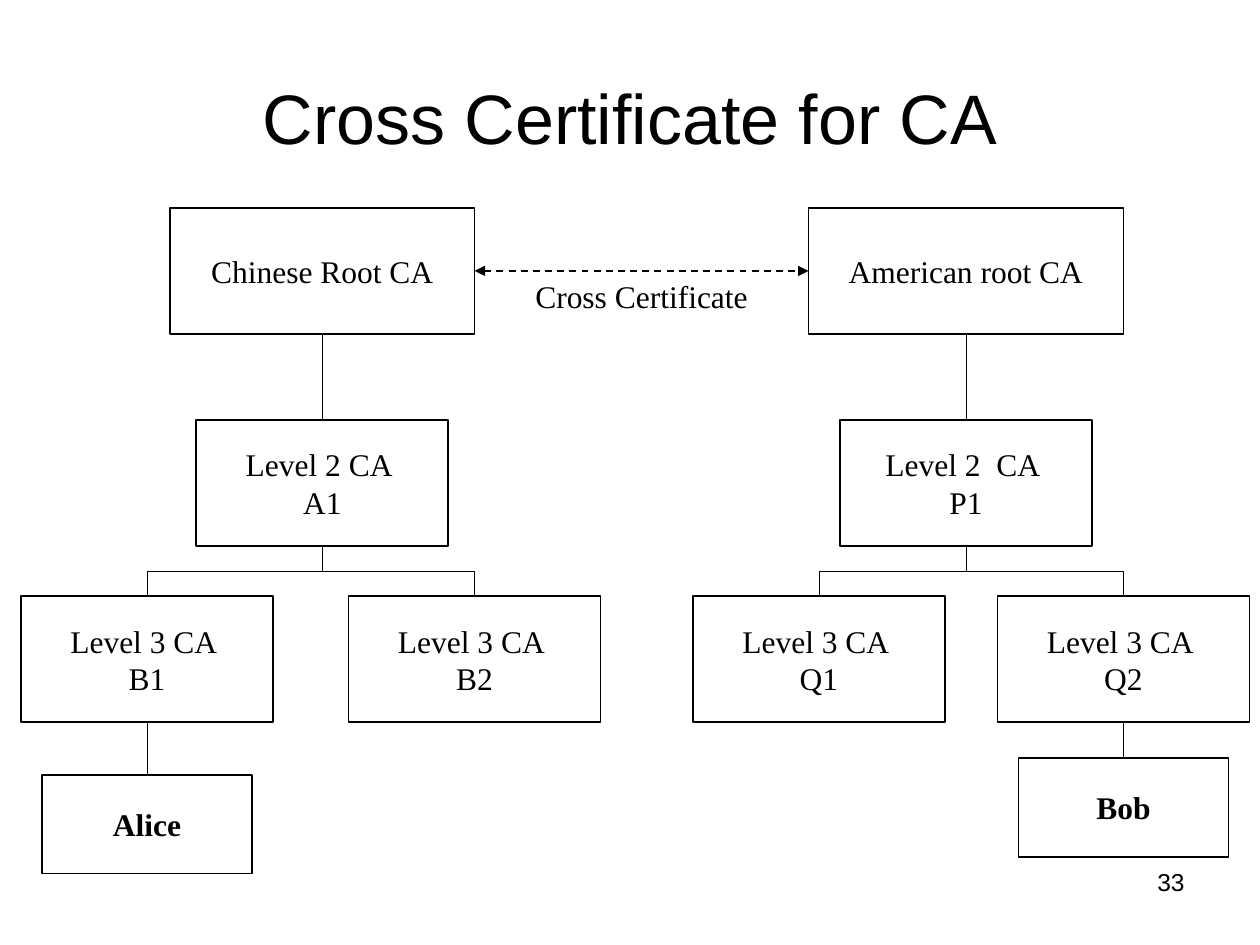
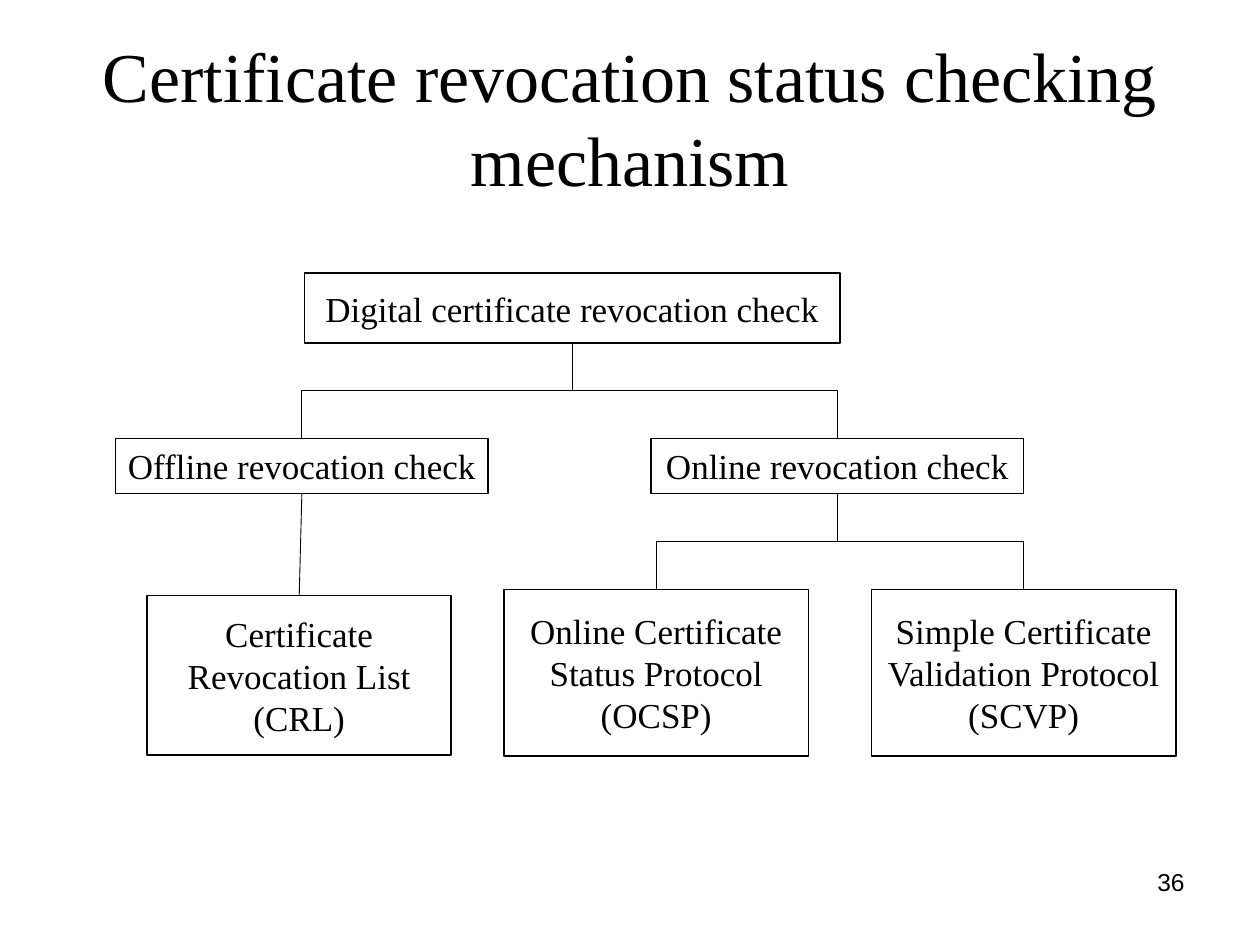
from dataclasses import dataclass
from typing import NamedTuple

from pptx import Presentation
from pptx.dml.color import RGBColor
from pptx.enum.dml import MSO_LINE
from pptx.enum.shapes import MSO_CONNECTOR, MSO_SHAPE
from pptx.enum.text import MSO_ANCHOR, MSO_AUTO_SIZE, PP_ALIGN
from pptx.oxml.ns import qn
from pptx.oxml.xmlchemy import OxmlElement
from pptx.presentation import Presentation as Deck
from pptx.shapes.autoshape import Shape
from pptx.shapes.connector import Connector
from pptx.slide import Slide
from pptx.text.text import TextFrame
from pptx.util import Inches, Pt

WIDTH, HEIGHT = Inches(10), Inches(7.5)
COLS, ROWS = 120, 90
BOTTOM, RIGHT, TOP, LEFT = 2, 3, 0, 1


@dataclass(frozen=True)
class Theme:
    ink: RGBColor = RGBColor(0, 0, 0)
    paper: RGBColor = RGBColor(255, 255, 255)
    sans: str = "Arial"
    serif: str = "Times New Roman"
    title: int = 40
    page: int = 14
    edge: float = 1
    link: float = 0.5


class Area(NamedTuple):
    col: float
    row: float
    wide: float
    high: float


class Node(NamedTuple):
    name: str
    text: str
    area: Area
    bold: bool = False


class Chart(NamedTuple):
    title: str
    font: str
    page: str
    size: int
    nodes: list[Node]
    links: list[tuple[str, str]]


THEME = Theme()
TITLE = Area(6, 3.6, 108, 15)
PAGE = Area(86, 82, 28, 6.2)
NOTE = Area(49.8, 25.8, 23.6, 4.8)


def level(tier: int, name: str, col: float, row: float, gap: str = " ") -> Node:
    return Node(name, f"Level {tier}{gap}CA \n{name}", Area(col, row, 24, 12))


def person(name: str, col: float, row: float) -> Node:
    return Node(name, name, Area(col, row, 20, 9.4), bold=True)


def check(name: str, col: float) -> Node:
    return Node(name, f"{name} revocation check", Area(col, 41.75, 35.5, 5.25))


def method(name: str, text: str, step: int) -> Node:
    return Node(name, f"{text} ({name})", Area(48 + 35 * step, 56.15, 29, 15.85))


CROSS = Chart(
    "Cross Certificate for CA", THEME.sans, "33", 18,
    [
        Node("China", "Chinese Root CA", Area(16.2, 19.8, 29, 12)),
        Node("America", "American root CA", Area(77, 19.8, 30, 12)),
        level(2, "A1", 18.7, 40),
        level(2, "P1", 80, 40, gap="  "),
        level(3, "B1", 2, 56.8),
        level(3, "B2", 33.2, 56.8),
        level(3, "Q1", 66, 56.8),
        level(3, "Q2", 95, 56.8),
        person("Alice", 4, 73.8),
        person("Bob", 97, 72.2),
    ],
    [("China", "A1"), ("America", "P1"), ("A1", "B1"), ("A1", "B2"),
     ("P1", "Q1"), ("P1", "Q2"), ("B1", "Alice"), ("Q2", "Bob")],
)

REVOKE = Chart(
    "Certificate revocation status checking mechanism", THEME.serif, "36", 20,
    [
        Node("Check", "Digital certificate revocation check",
             Area(29, 26, 51, 6.7)),
        check("Offline", 11),
        check("Online", 62),
        Node("CRL", "Certificate Revocation List (CRL)",
             Area(14, 56.7, 29, 15.2)),
        method("OCSP", "Online Certificate Status Protocol", 0),
        method("SCVP", "Simple Certificate Validation Protocol", 1),
    ],
    [("Check", "Offline"), ("Check", "Online"), ("Offline", "CRL"),
     ("Online", "OCSP"), ("Online", "SCVP")],
)


def place(area: Area) -> tuple[int, int, int, int]:
    col, row = WIDTH / COLS, HEIGHT / ROWS
    return (round(area.col * col), round(area.row * row),
            round(area.wide * col), round(area.high * row))


def move(shape: Shape | Connector, box: tuple[int, int, int, int]) -> None:
    shape.left, shape.top, shape.width, shape.height = box


def write(frame: TextFrame, text: str, *, size: int, font: str = THEME.serif,
          bold: bool = False, align: PP_ALIGN = PP_ALIGN.CENTER,
          anchor: MSO_ANCHOR = MSO_ANCHOR.MIDDLE, wrap: bool = True) -> None:
    frame.word_wrap = wrap
    frame.auto_size = MSO_AUTO_SIZE.NONE
    frame.vertical_anchor = anchor
    frame.text = text
    for para in frame.paragraphs:
        para.alignment = align
        for run in para.runs:
            run.font.name = font
            run.font.size = Pt(size)
            run.font.bold = bold
            run.font.color.rgb = THEME.ink


def draw(slide: Slide, node: Node, size: int) -> Shape:
    box = slide.shapes.add_shape(MSO_SHAPE.RECTANGLE, *place(node.area))
    box.shadow.inherit = False
    box.fill.background()
    box.line.color.rgb = THEME.ink
    box.line.width = Pt(THEME.edge)
    write(box.text_frame, node.text, size=size, bold=node.bold)
    return box


def join(slide: Slide, start: Shape, end: Shape, *, ports: tuple[int, int],
         kind: MSO_CONNECTOR = MSO_CONNECTOR.STRAIGHT,
         width: float = THEME.link) -> Connector:
    line = slide.shapes.add_connector(kind, 0, 0, 0, 0)
    line.begin_connect(start, ports[0])
    line.end_connect(end, ports[1])
    line.line.color.rgb = THEME.ink
    line.line.width = Pt(width)
    line._element.spPr.append(OxmlElement("a:effectLst"))
    return line


def branch(slide: Slide, start: Shape, end: Shape, fork: bool) -> None:
    kind = MSO_CONNECTOR.ELBOW if fork else MSO_CONNECTOR.STRAIGHT
    line = join(slide, start, end, ports=(BOTTOM, TOP), kind=kind)
    if not fork:
        return
    right = line.end_x > line.begin_x
    wide, high = line.width, line.height
    shift = (wide - high) // 2
    move(line, (line.left + shift, line.top - shift, high, wide))
    frame = line._element.spPr.find(qn("a:xfrm"))
    frame.rot = 270 if right else 90
    frame.flipH = right


def swap(slide: Slide, start: Shape, end: Shape) -> None:
    line = join(slide, start, end, ports=(RIGHT, LEFT), width=THEME.edge)
    line.line.dash_style = MSO_LINE.DASH
    stroke = line._element.spPr.find(qn("a:ln"))
    for tag in ("a:headEnd", "a:tailEnd"):
        tip = OxmlElement(tag)
        tip.set("type", "triangle")
        stroke.append(tip)


def label(slide: Slide, text: str, area: Area, **style) -> None:
    box = slide.shapes.add_textbox(*place(area))
    write(box.text_frame, text, anchor=MSO_ANCHOR.TOP, **style)


def build(deck: Deck, chart: Chart) -> tuple[Slide, dict[str, Shape]]:
    slide = deck.slides.add_slide(deck.slide_layouts[5])
    slide.background.fill.solid()
    slide.background.fill.fore_color.rgb = THEME.paper
    title = slide.shapes.title
    move(title, place(TITLE))
    write(title.text_frame, chart.title, size=THEME.title, font=chart.font)
    label(slide, chart.page, PAGE, size=THEME.page, font=THEME.sans,
          align=PP_ALIGN.RIGHT)
    boxes = {node.name: draw(slide, node, chart.size) for node in chart.nodes}
    heads = [head for head, _ in chart.links]
    for head, tail in chart.links:
        branch(slide, boxes[head], boxes[tail], heads.count(head) > 1)
    return slide, boxes


def main() -> None:
    deck = Presentation()
    deck.slide_width, deck.slide_height = WIDTH, HEIGHT
    slide, boxes = build(deck, CROSS)
    swap(slide, boxes["China"], boxes["America"])
    label(slide, "Cross Certificate", NOTE, size=CROSS.size,
          align=PP_ALIGN.LEFT, wrap=False)
    build(deck, REVOKE)
    deck.save("out.pptx")


if __name__ == "__main__":
    main()
